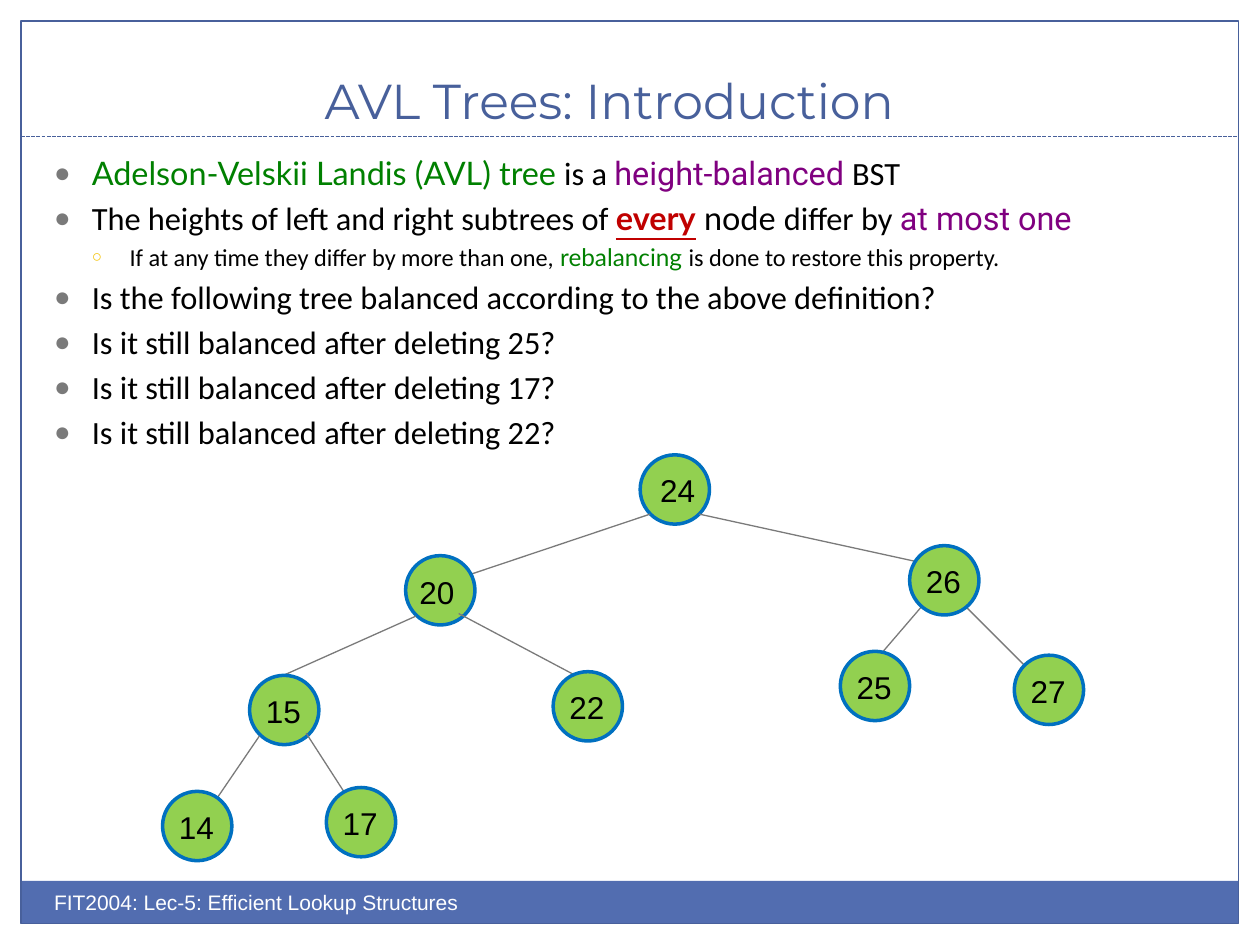
from typing import NamedTuple

from lxml.etree import SubElement
from pptx import Presentation
from pptx.dml.color import RGBColor
from pptx.enum.dml import MSO_LINE
from pptx.enum.shapes import MSO_CONNECTOR, MSO_SHAPE
from pptx.enum.text import MSO_ANCHOR, PP_ALIGN
from pptx.oxml.ns import qn
from pptx.util import Pt

INDIGO = "48609B"
GRAY = "7A7A7A"
BLACK = "000000"
GREEN = "008000"
PURPLE = "800080"
NODE_SIZE = 39.6
INDENT = 21.6


class Span(NamedTuple):
    text: str
    font: str = "Calibri"
    color: str = BLACK
    emphasis: bool = False


class Bullet(NamedTuple):
    spans: list[Span]
    level: int = 0


class BulletStyle(NamedTuple):
    char: str
    color: str
    percent: int
    size: float


class Node(NamedTuple):
    key: int
    left: float
    top: float
    label_dx: float = 2.2
    label_dy: float = 5.8


class Edge(NamedTuple):
    x1: float
    y1: float
    x2: float
    y2: float


BULLET_STYLES = [
    BulletStyle("●", GRAY, 85, 18.5),
    BulletStyle("○", "F5C201", 70, 13.9),
]

BULLETS = [
    Bullet([
        Span("Adelson-Velskii Landis (AVL) tree ", "Lato", GREEN),
        Span("is a "),
        Span("height-balanced ", "Roboto", PURPLE),
        Span("BST"),
    ]),
    Bullet([
        Span("The heights of left and right subtrees of "),
        Span("every", "Lato", "C00000", True),
        Span(" node ", "Lato"),
        Span("differ by "),
        Span("at most one", "Roboto", PURPLE),
    ]),
    Bullet([
        Span("If at any time they differ by more than one, "),
        Span("rebalancing ", "Lato", GREEN),
        Span("is done to restore this property."),
    ], 1),
    Bullet([Span("Is the following tree balanced according to the above definition?")]),
    *[Bullet([Span(f"Is it still balanced after deleting {key}?")]) for key in (25, 17, 22)],
]

TREE = [
    Node(24, 365.8, 259.9, 4.3),
    Edge(371.5, 293.8, 251.3, 334.1),
    Edge(399.6, 293.8, 537.8, 324),
    Node(20, 231.8, 317.5, 0.7, 6.5),
    Edge(237.6, 352.1, 162, 385.9),
    Edge(262.1, 350.6, 335.5, 389.5),
    Node(15, 142.6, 385.9),
    Edge(148.3, 420.5, 113, 472.3),
    Edge(175, 419, 206.6, 468),
    Node(22, 316.1, 383.8),
    Node(17, 186.5, 450),
    Node(14, 92.9, 452.2),
    Edge(585.4, 380.2, 540, 334.8),
    Edge(539.3, 331.9, 499.7, 378),
    Node(26, 519.8, 311.8),
    Node(25, 480.2, 372.2),
    Node(27, 579.6, 374.4),
]


def rgb(color: str) -> RGBColor:
    return RGBColor.from_string(color)


def style_font(font, name: str, size: float, color: str) -> None:
    font.name = name
    font.size = Pt(size)
    font.color.rgb = rgb(color)


def add_label(shapes, text: str, left: float, top: float, width: float, size: float,
              color: str, wrap: bool) -> None:
    label = shapes.add_textbox(Pt(left), Pt(top), Pt(width), Pt(28.8))
    label.text_frame.word_wrap = wrap
    label.text_frame.text = text
    style_font(label.text_frame.paragraphs[0].runs[0].font, "Arial", size, color)


def add_panel(shapes, kind, left: float, top: float, width: float, height: float,
              fill: str = "", line: str = "", line_width: float = 0.75) -> None:
    panel = shapes.add_shape(kind, Pt(left), Pt(top), Pt(width), Pt(height))
    panel.shadow.inherit = False
    if fill:
        panel.fill.solid()
        panel.fill.fore_color.rgb = rgb(fill)
    else:
        panel.fill.background()
    if line:
        panel.line.color.rgb = rgb(line)
        panel.line.width = Pt(line_width)
    else:
        panel.line.fill.background()


def add_line(shapes, edge: Edge, color: str, dash=None) -> None:
    line = shapes.add_connector(MSO_CONNECTOR.STRAIGHT, *(Pt(value) for value in edge))
    line.line.color.rgb = rgb(color)
    line.line.width = Pt(0.75)
    if dash:
        line.line.dash_style = dash
    SubElement(line._element.spPr, qn("a:effectLst"))


def add_node(shapes, node: Node) -> None:
    group = shapes.add_group_shape().shapes
    add_panel(group, MSO_SHAPE.OVAL, node.left, node.top, NODE_SIZE, NODE_SIZE,
              "92D050", "0070C0", 2)
    add_label(group, str(node.key), node.left + node.label_dx, node.top + node.label_dy,
              34.6, 18, BLACK, False)


def set_bullet(paragraph, level: int, style: BulletStyle) -> None:
    paragraph.level = level
    props = paragraph._p.get_or_add_pPr()
    props.set("marL", str(Pt(INDENT * (level + 1))))
    props.set("indent", str(Pt(-INDENT)))
    bullet_color = SubElement(props, qn("a:buClr"))
    SubElement(bullet_color, qn("a:srgbClr"), val=style.color)
    SubElement(props, qn("a:buSzPct"), val=str(style.percent * 1000))
    SubElement(props, qn("a:buFont"), typeface="Arial")
    SubElement(props, qn("a:buChar"), char=style.char)


def add_bullets(shapes, bullets: list[Bullet]) -> None:
    frame = shapes.add_textbox(Pt(23.8), Pt(84.2), Pt(636.5), Pt(195.8)).text_frame
    frame.word_wrap = True
    for index, bullet in enumerate(bullets):
        paragraph = frame.add_paragraph() if index else frame.paragraphs[0]
        style = BULLET_STYLES[bullet.level]
        set_bullet(paragraph, bullet.level, style)
        if index:
            paragraph.space_before = Pt(style.size * 0.19)
        for span in bullet.spans:
            run = paragraph.add_run()
            run.text = span.text
            style_font(run.font, span.font, style.size, span.color)
            if span.emphasis:
                run.font.bold = run.font.underline = True


def set_title(title, text: str) -> None:
    title.left, title.top, title.width, title.height = Pt(-5.8), Pt(18), Pt(707.8), Pt(59.8)
    title.text_frame.text = text
    title.text_frame.vertical_anchor = MSO_ANCHOR.BOTTOM
    heading = title.text_frame.paragraphs[0]
    heading.alignment = PP_ALIGN.CENTER
    style_font(heading.runs[0].font, "Montserrat", 28, INDIGO)


def main() -> None:
    deck = Presentation()
    deck.slide_width, deck.slide_height = Pt(720), Pt(540)
    slide = deck.slides.add_slide(deck.slide_layouts[5])
    shapes = slide.shapes
    add_panel(shapes, MSO_SHAPE.RECTANGLE, 11.8, 503.3, 695.6, 24.4, fill="526DB0")
    add_panel(shapes, MSO_SHAPE.RECTANGLE, 12, 12, 695.6, 515.6, line=INDIGO)
    add_line(shapes, Edge(12, 77.9, 707.6, 77.9), INDIGO, MSO_LINE.SQUARE_DOT)
    set_title(shapes.title, "AVL Trees: Introduction")
    add_bullets(shapes, BULLETS)
    add_label(shapes, "FIT2004: Lec-5: Efficient Lookup Structures", 23.8, 504.7, 360, 12,
              "FFFFFF", True)
    for part in TREE:
        if isinstance(part, Node):
            add_node(shapes, part)
        else:
            add_line(shapes, part, GRAY)
    deck.save("out.pptx")


if __name__ == "__main__":
    main()
